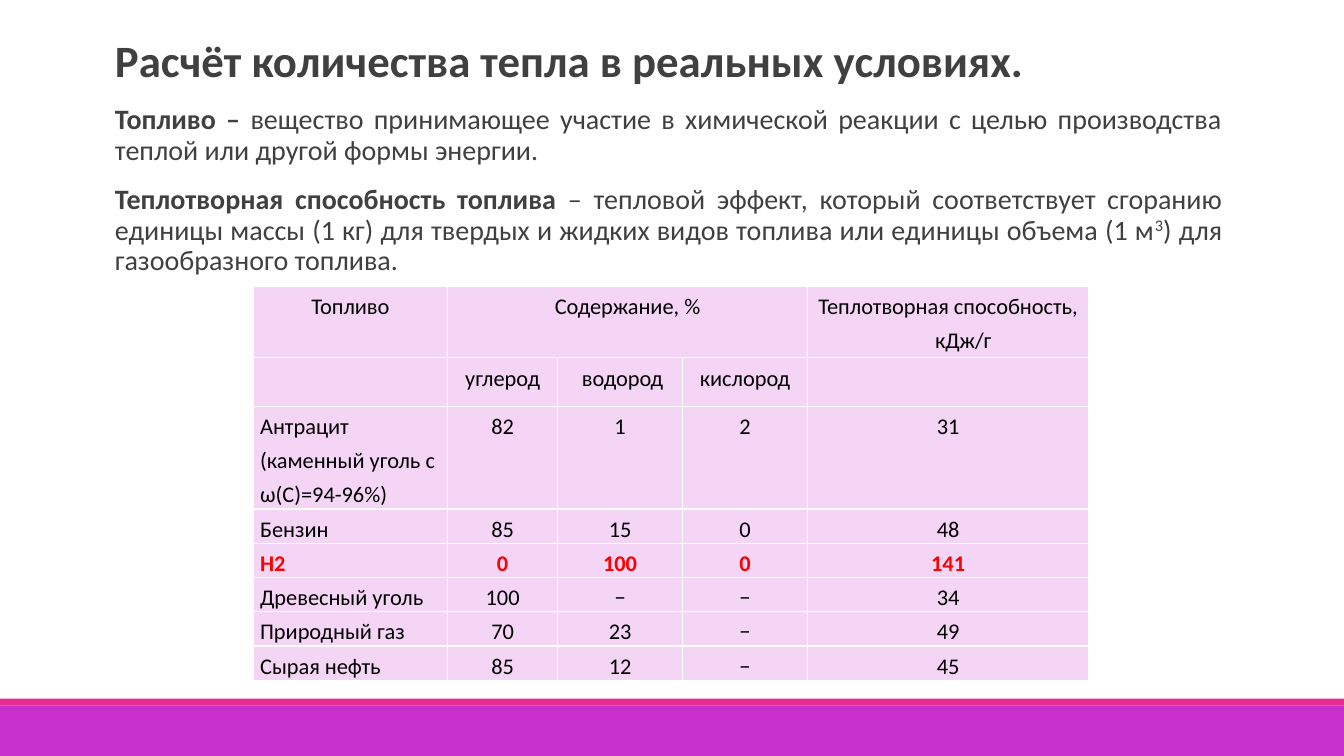
from lxml.etree import SubElement
from pptx import Presentation
from pptx.dml.color import RGBColor
from pptx.enum.shapes import MSO_SHAPE
from pptx.enum.text import MSO_ANCHOR, MSO_AUTO_SIZE, PP_ALIGN
from pptx.oxml.ns import qn
from pptx.util import Inches, Pt

PURPLE = RGBColor(0xC8, 0x30, 0xCC)
PINK = RGBColor(0xE3, 0x2D, 0x91)
PALE = RGBColor(0xF4, 0xD5, 0xF5)
GREY = RGBColor(0x40, 0x40, 0x40)
BLACK = RGBColor(0, 0, 0)
RED = RGBColor(0xFF, 0, 0)
WHITE = RGBColor(0xFF, 0xFF, 0xFF)

TITLE = "Расчёт количества тепла в реальных условиях."
# Runs: text, bold, raised
TERMS = [
    [("Топливо – ", True, False),
     ("вещество принимающее участие в химической реакции с целью "
      "производства теплой или другой формы энергии.", False, False)],
    [("Теплотворная способность топлива", True, False),
     (" – тепловой эффект, который соответствует сгоранию единицы массы "
      "(1 кг) для твердых и жидких видов топлива или единицы объема (1 м",
      False, False),
     ("3", False, True),
     (") для газообразного топлива.", False, False)],
]
FUELS = [
    ["Топливо", "Содержание, %", "", "", "Теплотворная способность,\nкДж/г"],
    ["", "углерод", " водород", "кислород", ""],
    ["Антрацит (каменный уголь с ω(C)=94-96%)", "82", "1", "2", "31"],
    ["Бензин", "85", "15", "0", "48"],
    ["H2", "0", "100", "0", "141"],
    ["Древесный уголь", "100", "−", "−", "34"],
    ["Природный газ", "70", "23", "−", "49"],
    ["Сырая нефть", "85", "12", "−", "45"],
]
HEAD = 2  # heading rows of the table
KEY = 4   # row set in bold red


class Page:
    """Style and slide; lengths are percent of the slide's width or height."""
    font = "Calibri"

    def __init__(self, deck):
        self.wide, self.high = deck.slide_width, deck.slide_height
        self.slide = deck.slides.add_slide(deck.slide_layouts[5])

    def x(self, share):
        return round(self.wide * share / 100)

    def y(self, share):
        return round(self.high * share / 100)

    def box(self, x, y, w, h):
        return self.x(x), self.y(y), self.x(w), self.y(h)

    def run(self, para, text, size, color, bold=False, up=False):
        run = para.add_run()
        run.text = text
        font = run.font
        font.name, font.size, font.bold = self.font, Pt(size), bold
        font.color.rgb = color
        if up:
            run._r.get_or_add_rPr().set("baseline", "30000")

    def band(self, y, h, color):
        shape = self.slide.shapes.add_shape(
            MSO_SHAPE.RECTANGLE, *self.box(0, y, 100, h))
        shape.shadow.inherit = False
        shape.fill.solid()
        shape.fill.fore_color.rgb = color
        shape.line.fill.background()

    def frame(self, shape):
        frame = shape.text_frame
        frame.word_wrap = True
        frame.auto_size = MSO_AUTO_SIZE.NONE
        frame.vertical_anchor = MSO_ANCHOR.TOP
        frame.margin_left = Inches(0.2)
        return frame

    def title(self, place, text):
        shape = self.slide.shapes.title
        shape.left, shape.top, shape.width, shape.height = self.box(*place)
        para = self.frame(shape).paragraphs[0]
        para.alignment, para.line_spacing = PP_ALIGN.LEFT, 0.9
        self.run(para, text, 32, GREY, True)

    def prose(self, place, paras):
        frame = self.frame(self.slide.shapes.add_textbox(*self.box(*place)))
        for i, runs in enumerate(paras):
            para = frame.add_paragraph() if i else frame.paragraphs[0]
            para.alignment, para.line_spacing = PP_ALIGN.JUSTIFY, 0.9
            para.space_before, para.space_after = Pt(12 if i else 0), Pt(2)
            for text, bold, up in runs:
                self.run(para, text, 20, GREY, bold, up)

    def cell(self, cell, text, align, color, bold):
        cell.margin_left = cell.margin_right = Inches(0.07)
        cell.margin_top = cell.margin_bottom = 0
        # White rules, then the fill
        props = cell._tc.get_or_add_tcPr()
        for side in ("lnL", "lnR", "lnT", "lnB"):
            line = SubElement(props, qn("a:" + side), w=str(Pt(1)))
            fill = SubElement(line, qn("a:solidFill"))
            SubElement(fill, qn("a:srgbClr"), val=str(WHITE))
        cell.fill.solid()
        cell.fill.fore_color.rgb = PALE
        if not text:
            return
        for i, part in enumerate(text.split("\n")):
            frame = cell.text_frame
            para = frame.add_paragraph() if i else frame.paragraphs[0]
            para.alignment, para.line_spacing = align, 1.25
            if i:  # the unit sits a little to the right
                para._p.get_or_add_pPr().set("marL", str(Inches(0.3)))
            self.run(para, part, 16, color, bold)

    def table(self, x, y, cols, rows, data):
        table = self.slide.shapes.add_table(
            len(rows), len(cols),
            *self.box(x, y, sum(cols), sum(rows))).table
        table.first_row = table.horz_banding = False
        for col, w in zip(table.columns, cols):
            col.width = self.x(w)
        for row, h in zip(table.rows, rows):
            row.height = self.y(h)
        for r, line in enumerate(data):
            for c, text in enumerate(line):
                left = c == 0 and r >= HEAD
                self.cell(table.cell(r, c), text,
                          PP_ALIGN.LEFT if left else PP_ALIGN.CENTER,
                          RED if r == KEY else BLACK, r == KEY)
        table.cell(0, 1).merge(table.cell(0, 3))


def main():
    deck = Presentation()
    deck.slide_width, deck.slide_height = Inches(13.33), Inches(7.5)
    page = Page(deck)
    # Foot bands
    page.band(93.33, 6.67, PURPLE)
    page.band(92.4, 0.93, PINK)
    # Title and definitions
    page.title((7.05, 4.4, 84.62, 8), TITLE)
    page.prose((7.05, 13.33, 84.62, 24), TERMS)
    # Fuel table
    page.table(18.83, 37.87, [14.48, 8.18, 9.3, 9.3, 20.93],
               [9.47, 6.4, 13.33] + [4.27] * 5, FUELS)
    deck.save("out.pptx")


if __name__ == "__main__":
    main()
